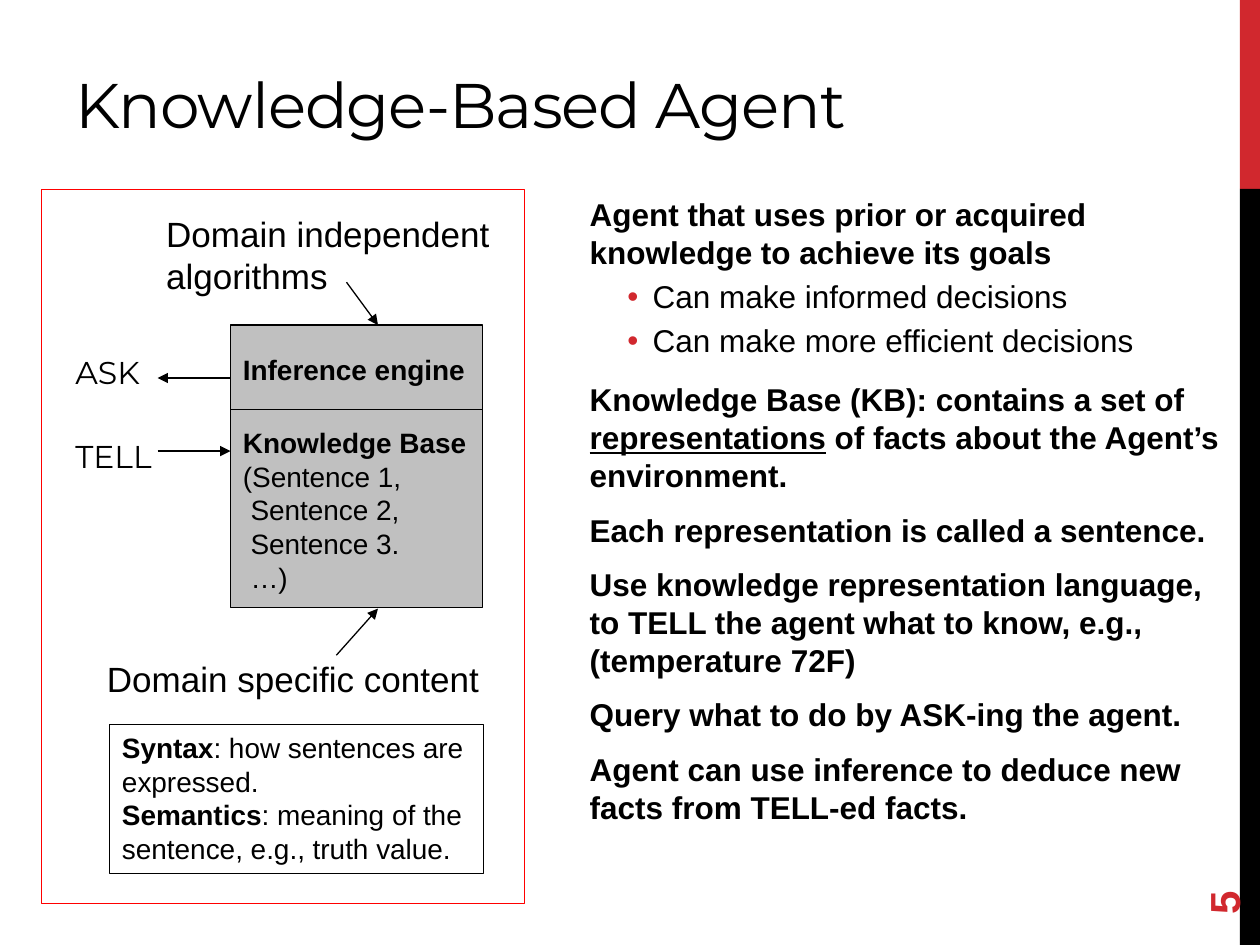
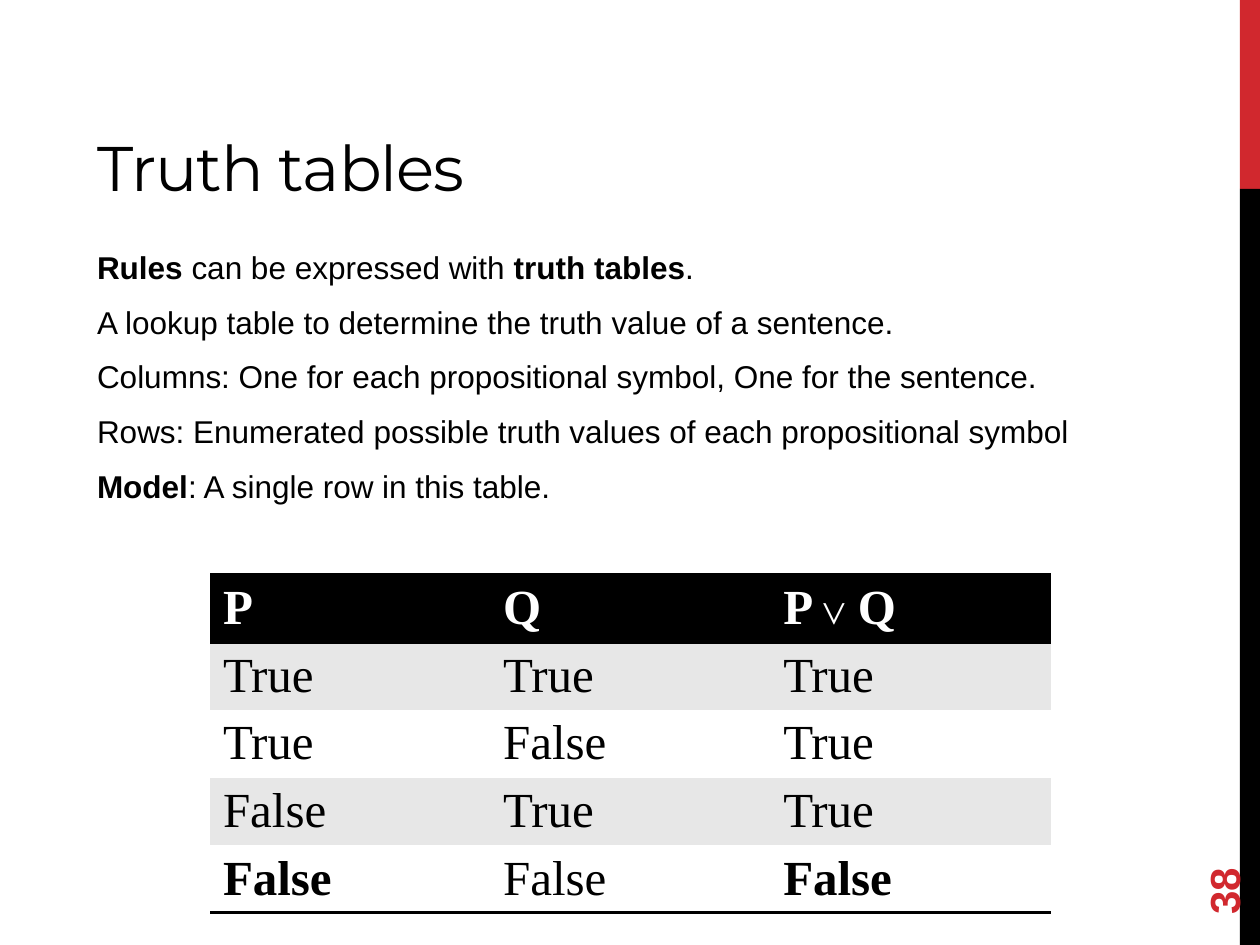
from lxml.etree import SubElement
from pptx import Presentation
from pptx.dml.color import RGBColor
from pptx.enum.shapes import MSO_CONNECTOR as CONN, MSO_SHAPE as SHAPE
from pptx.enum.text import MSO_ANCHOR as ANCHOR, MSO_AUTO_SIZE as FIT, PP_ALIGN as ALIGN
from pptx.oxml import parse_xml
from pptx.oxml.ns import nsdecls, qn
from pptx.util import Emu, Pt

# Shared look: 100 px to the inch
SCALE = 9144
BLACK, WHITE, RED, GREY, STRIPE = "000000", "FFFFFF", "D1282E", "C0C0C0", "E7E7E7"
BODY_FONT, TITLE_FONT, TABLE_FONT = "Arial", "Montserrat", "Times New Roman"
BANDS = [((984, 0, 16, 150), RED), ((984, 150, 16, 600), BLACK)]
NUMBER_BOX = (894, 644, 144, 40)

# Content: *bold*, _underlined_
# Body paragraphs: text, level, space before, space after
AGENT = dict(
    number=5, title="Knowledge-Based Agent",
    title_box=(50, 17, 800, 100), body_box=(458, 150, 534, 550),
    body=[
        ("*Agent that uses prior or acquired knowledge to achieve its goals*", 0, 0, 0),
        ("Can make informed decisions", 1, 3.6, 0),
        ("Can make more efficient decisions", 1, 3.6, 0),
        ("*Knowledge Base (KB): contains a set of _representations_ of facts "
         "about the Agent’s environment.*", 0, 12.2, 6),
        ("*Each representation is called a sentence.*", 0, 3.6, 6),
        ("*Use knowledge representation language, to TELL the agent what to know, "
         "e.g., (temperature 72F)*", 0, 3.6, 6),
        ("*Query what to do by ASK-ing the agent.*", 0, 3.6, 6),
        ("*Agent can use inference to deduce new facts from TELL-ed facts.*", 0, 3.6, 6),
    ])
TRUTH = dict(
    number=38, title="Truth tables",
    title_box=(67, 17, 633, 150), body_box=(67, 192, 833, 478),
    body=[
        ("*Rules* can be expressed with *truth tables*.", 0, 0, 6),
        ("A lookup table to determine the truth value of a sentence.", 0, 3.6, 6),
        ("Columns: One for each propositional symbol, One for the sentence.", 0, 3.6, 6),
        ("Rows: Enumerated possible truth values of each propositional symbol", 0, 3.6, 6),
        ("*Model*: A single row in this table.", 0, 3.6, 6),
    ])

# Agent diagram
ENGINE_BOX, KB_BOX = (183, 258, 200, 67), (183, 325, 200, 157)
FRAME_BOX, GLOSSARY_BOX = (33, 150, 383, 567), (87, 575, 297, 118)
GLOSSARY = ["*Syntax*: how sentences are expressed.",
            "*Semantics*: meaning of the sentence, e.g., truth value."]
# Labels: box, paragraphs, size, font, paragraphs before the indented ones
LABELS = [
    ((183, 333, 199, 145), ["*Knowledge Base*", "(Sentence 1,", "Sentence 2,",
                            "Sentence 3.", "…)"], 16, BODY_FONT, 2),
    ((183, 275, 198, 37), ["*Inference engine*"], 16, BODY_FONT, 1),
    ((122, 164, 287, 77), ["Domain independent", "algorithms"], 20, BODY_FONT, 2),
    ((75, 517, 318, 44), ["Domain specific content"], 20, BODY_FONT, 1),
    ((50, 342, 90, 40), ["TELL"], 18, TITLE_FONT, 1),
    ((50, 275, 79, 40), ["ASK"], 18, TITLE_FONT, 1),
]
ARROWS = [(267, 520, 300, 483), (275, 224, 300, 258),
          (125, 358, 183, 358), (183, 300, 125, 300)]

TABLE_BOX = (167, 456, 667, 205)
TABLE = [
    ["*P*", "*Q*", "*P *⋁* Q*"],
    ["True", "True", "True"],
    ["True", "False", "True"],
    ["False", "True", "True"],
    ["*False*", "False", "*False*"],
]


def px(*lengths):
    return [Emu(n * SCALE) for n in lengths]


def rgb(color):
    return RGBColor.from_string(color)


def write(p, marked, size, font=BODY_FONT, color=BLACK):
    """Fill a paragraph, turning the markers into bold and underlined runs."""
    for i, chunk in enumerate(marked.split("*")):
        for j, text in enumerate(chunk.split("_")):
            if text:
                r = p.add_run()
                r.text = text
                f = r.font
                f.name, f.size = font, Pt(18 if text == "⋁" else size)
                f.bold, f.underline = i % 2 == 1, j % 2 == 1
                f.color.rgb = rgb(color)


def paragraphs(tf, count):
    return [tf.paragraphs[0]] + [tf.add_paragraph() for _ in range(count - 1)]


def set_indent(p, left, hang=0, bullet=None):
    pPr = p._p.get_or_add_pPr()
    pPr.set("marL", str(left * SCALE))
    pPr.set("indent", str(-hang * SCALE))
    if bullet:
        SubElement(SubElement(pPr, qn("a:buClr")), qn("a:srgbClr"), val=RED)
        SubElement(pPr, qn("a:buChar"), char=bullet)
    else:
        SubElement(pPr, qn("a:buNone"))


def add_rect(s, box, fill=None, line=None, width=0.75):
    sp = s.shapes.add_shape(SHAPE.RECTANGLE, *px(*box))
    sp.shadow.inherit = False
    if fill:
        sp.fill.solid()
        sp.fill.fore_color.rgb = rgb(fill)
    else:
        sp.fill.background()
    if line:
        sp.line.color.rgb, sp.line.width = rgb(line), Pt(width)
    else:
        sp.line.fill.background()
    return sp


def add_label(s, box, lines, size, font, flush):
    tf = s.shapes.add_textbox(*px(*box)).text_frame
    tf.word_wrap, tf.auto_size = False, FIT.SHAPE_TO_FIT_TEXT
    for i, (p, line) in enumerate(zip(paragraphs(tf, len(lines)), lines)):
        if i >= flush:
            set_indent(p, 6)
        write(p, line, size, font)


def add_arrow(s, ends):
    line = s.shapes.add_connector(CONN.STRAIGHT, *px(*ends))
    line.line.color.rgb, line.line.width = rgb(BLACK), Pt(0.75)
    SubElement(line.line._get_or_add_ln(), qn("a:tailEnd"), type="triangle")
    SubElement(line._element.spPr, qn("a:effectLst"))


def place(sp, box):
    sp.left, sp.top, sp.width, sp.height = px(*box)
    tf = sp.text_frame
    tf.word_wrap, tf.auto_size = True, FIT.NONE
    return tf


def add_slide(prs, content):
    """Bands, title, body and slide number."""
    s = prs.slides.add_slide(prs.slide_layouts[1])
    for box, color in BANDS:
        add_rect(s, box, color)

    tf = place(s.shapes.title, content["title_box"])
    tf.vertical_anchor = ANCHOR.BOTTOM
    p = tf.paragraphs[0]
    p.alignment = ALIGN.LEFT
    write(p, content["title"], 36, TITLE_FONT)
    p.runs[0]._r.get_or_add_rPr().set("spc", "-60")

    body = content["body"]
    tf = place(s.placeholders[1], content["body_box"])
    for p, (text, level, before, after) in zip(paragraphs(tf, len(body)), body):
        p.level = level
        set_indent(p, *((50, 20, "•") if level else (0,)))
        p.space_before, p.space_after = Pt(before), Pt(after)
        write(p, text, 18)

    number = s.shapes.add_textbox(*px(*NUMBER_BOX))
    number.rotation = 270
    number.text_frame.word_wrap = True
    write(number.text_frame.paragraphs[0], f"*{content['number']}*", 24, color=RED)
    return s


def add_diagram(s):
    for box in (ENGINE_BOX, KB_BOX):
        add_rect(s, box, GREY, BLACK)
    for label in LABELS:
        add_label(s, *label)
    for ends in ARROWS:
        add_arrow(s, ends)
    add_rect(s, FRAME_BOX, line="FF0000", width=0.5)
    tf = add_rect(s, GLOSSARY_BOX, line=BLACK, width=0.5).text_frame
    tf.word_wrap, tf.vertical_anchor = True, ANCHOR.TOP
    for p, line in zip(paragraphs(tf, len(GLOSSARY)), GLOSSARY):
        p.alignment = ALIGN.LEFT
        write(p, line, 16)


def add_borders(cell, sides):
    tcPr = cell._tc.get_or_add_tcPr()
    for i, side in enumerate(sides):
        tcPr.insert(i, parse_xml(
            f'<a:ln{side} {nsdecls("a")} w="{Pt(2)}"><a:solidFill>'
            f'<a:srgbClr val="{BLACK}"/></a:solidFill></a:ln{side}>'))


def add_truth_table(s):
    last = len(TABLE) - 1
    table = s.shapes.add_table(len(TABLE), len(TABLE[0]), *px(*TABLE_BOX)).table
    # Plain style without grid lines
    table._tbl.tblPr[0].text = "{2D5ABB26-0587-4C30-8999-92F81FD0307C}"
    for i, row in enumerate(TABLE):
        fill = BLACK if i == 0 else STRIPE if i % 2 else WHITE
        for j, text in enumerate(row):
            cell = table.cell(i, j)
            cell.margin_bottom = px(2)[0]
            cell.fill.solid()
            cell.fill.fore_color.rgb = rgb(fill)
            write(cell.text_frame.paragraphs[0], text, 28, TABLE_FONT,
                  BLACK if i else WHITE)
            add_borders(cell, {0: "TB", last: "B"}.get(i, ""))


def main():
    prs = Presentation()
    prs.slide_width, prs.slide_height = px(1000, 750)
    add_diagram(add_slide(prs, AGENT))
    add_truth_table(add_slide(prs, TRUTH))
    prs.save("out.pptx")


if __name__ == "__main__":
    main()
